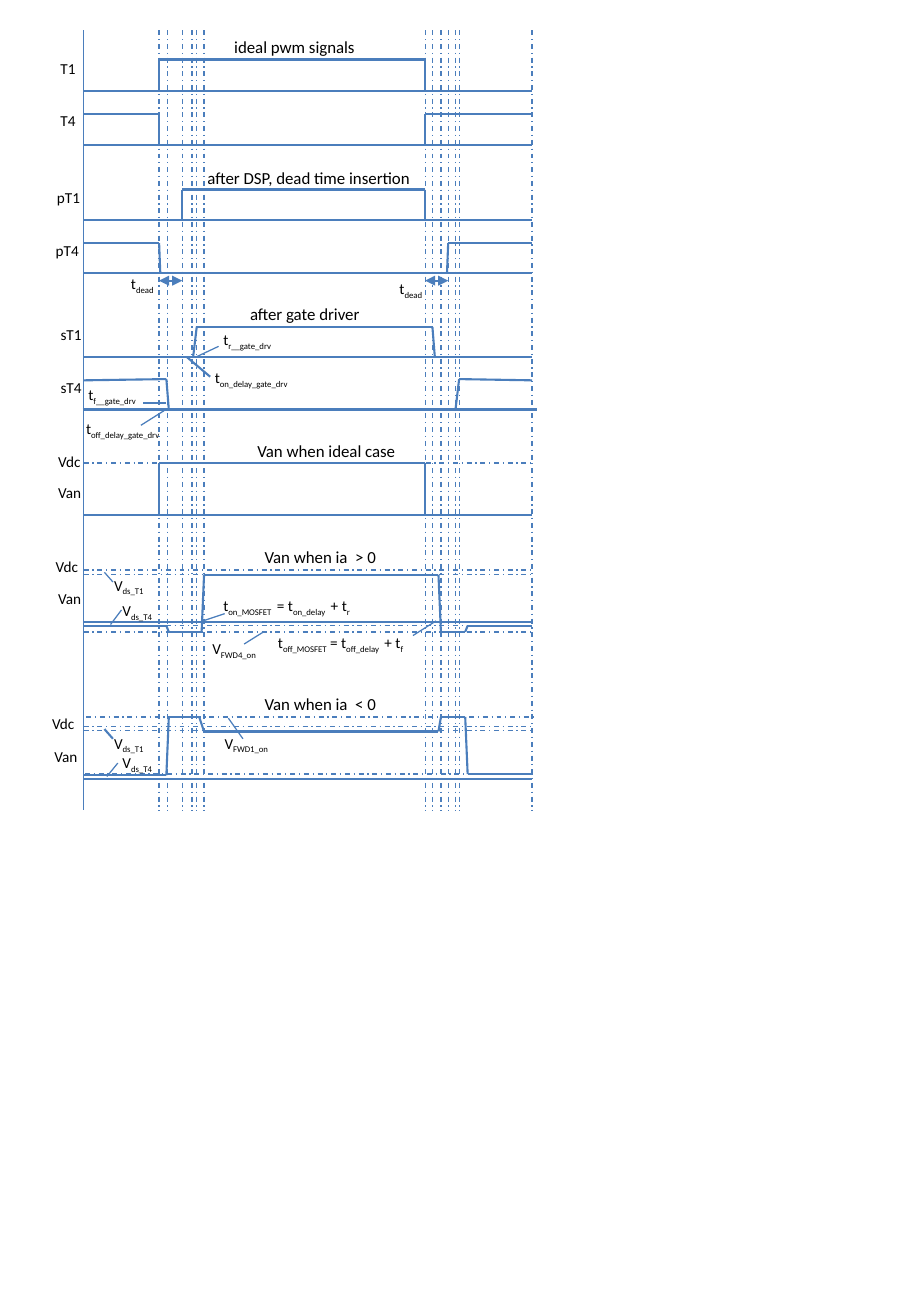
from dataclasses import dataclass
from itertools import pairwise

from lxml import etree
from pptx import Presentation
from pptx.dml.color import RGBColor
from pptx.enum.dml import MSO_LINE
from pptx.enum.shapes import MSO_CONNECTOR
from pptx.enum.text import MSO_AUTO_SIZE
from pptx.oxml.ns import qn
from pptx.util import Pt

STRAIGHT = MSO_CONNECTOR.STRAIGHT
DASH_DOT = MSO_LINE.DASH_DOT
FIT_SHAPE = MSO_AUTO_SIZE.SHAPE_TO_FIT_TEXT
PX = 9144  # EMU in one px, 100 px to the inch


@dataclass(frozen=True)
class Theme:
    ink: RGBColor = RGBColor(0x00, 0x00, 0x00)
    trace: RGBColor = RGBColor(0x4B, 0x7E, 0xBC)
    font: str = "Calibri"
    title: int = 10
    label: int = 9
    thin: float = 0.75
    thick: float = 1.25


THEME = Theme()

SLIDE = (750, 1083)
LEFT, RIGHT = 69, 438
TOP, BOTTOM = 25, 667

# Switching instants that cross every trace
INSTANTS = (131, 138, 150, 158, 162, 168, 350, 356, 363, 369, 375, 378, RIGHT)

# Zero level of each signal: left, right, y
BASELINES = (
    (LEFT, RIGHT, 75), (LEFT, RIGHT, 119),
    (LEFT, RIGHT, 181), (LEFT, RIGHT, 225),
    (LEFT, RIGHT, 294), (68, 442, 337),
    (LEFT, RIGHT, 424), (LEFT, RIGHT, 512), (LEFT, RIGHT, 641),
)

# Voltage levels: left, right, y
LEVELS = (
    (LEFT, RIGHT, 381),
    (LEFT, RIGHT, 469), (LEFT, RIGHT, 473), (LEFT, RIGHT, 515), (LEFT, RIGHT, 520),
    (71, 440, 590), (LEFT, RIGHT, 598), (LEFT, RIGHT, 601), (70, 439, 637),
)

# Corner points of each waveform
WAVEFORMS = (
    ((131, 75), (131, 49), (350, 49), (350, 75)),  # T1
    ((LEFT, 94), (131, 94), (131, 119)),  # T4
    ((350, 119), (350, 94), (RIGHT, 94)),
    ((150, 181), (150, 156), (350, 156), (350, 181)),  # pT1
    ((LEFT, 200), (131, 200), (132, 225)),  # pT4
    ((368, 225), (369, 200), (RIGHT, 200)),
    ((159, 294), (162, 269), (356, 269), (358, 294)),  # sT1
    ((LEFT, 313), (137, 312), (139, 337)),  # sT4
    ((375, 337), (378, 312), (RIGHT, 313)),
    ((131, 424), (131, 381), (350, 381), (350, 424)),  # Van, ideal
    ((LEFT, 515), (137, 515), (139, 520), (166, 520), (168, 473),  # Van, ia > 0
     (361, 473), (363, 520), (383, 520), (385, 515), (RIGHT, 515)),
    ((LEFT, 638), (137, 638), (139, 590), (164, 590), (168, 602),  # Van, ia < 0
     (361, 602), (363, 590), (383, 590), (385, 637), (RIGHT, 637)),
)

DEAD_TIMES = ((131, 150), (350, 369))
DEAD_TIME_Y = 231

# Leader lines from a label to its place on a trace
THIN_LEADERS = (
    ((161, 294), (180, 285)), ((135, 338), (116, 350)),
    ((164, 512), (185, 505)), ((340, 523), (359, 511)),
    ((86, 471), (93, 479)), ((91, 514), (100, 502)),
    ((201, 530), (217, 520)), ((88, 639), (97, 628)),
    ((188, 591), (200, 608)),
)
THICK_LEADERS = (
    ((154, 294), (173, 310)), ((118, 332), (137, 332)), ((86, 600), (93, 608)),
)

# Left, top, width, text, wrap
TITLES = (
    (183, 25, 120, "ideal pwm signals", False),
    (161, 133, 198, "after DSP, dead time insertion", True),
    (196, 245, 125, "after gate driver", True),
    (202, 358, 139, "Van when ideal case", False),
    (208, 445, 114, "Van when ia  > 0", False),
    (208, 566, 114, "Van when ia  < 0", False),
)

# Left, top, width, text with each subscript between bars
LABELS = (
    (40, 44, 33, "T1"), (40, 87, 33, "T4"),
    (37, 150, 39, "pT1"), (36, 194, 39, "pT4"),
    (40, 263, 38, "sT1"), (40, 306, 38, "sT4"),
    (38, 367, 39, "Vdc"), (38, 393, 40, "Van"),
    (36, 454, 39, "Vdc"), (38, 480, 40, "Van"),
    (33, 583, 39, "Vdc"), (35, 610, 40, "Van"),
    (98, 221, 41, "t|dead"), (319, 225, 41, "t|dead"),
    (174, 267, 66, "t|r__gate_drv"),
    (167, 298, 90, "t|on_delay_gate_drv"),
    (63, 312, 66, "t|f__gate_drv"),
    (61, 340, 91, "t|off_delay_gate_drv"),
    (174, 486, 136, "t|on_MOSFET | = t|on_delay | + t|r"),
    (219, 516, 136, "t|off_MOSFET| = t|off_delay | + t|f"),
    (84, 469, 48, "V|ds_T1"), (91, 490, 48, "V|ds_T4"),
    (165, 521, 61, "V|FWD4_on"),
    (84, 599, 48, "V|ds_T1"), (91, 615, 48, "V|ds_T4"),
    (175, 599, 61, "V|FWD1_on"),
)
TITLE_HEIGHT, LABEL_HEIGHT = 27, 25


def apply(target, values):
    for name, value in values.items():
        setattr(target, name, value)


def draw_line(slide, start, end, width, dash=None, arrows=False):
    line = slide.shapes.add_connector(STRAIGHT, *(v * PX for v in (*start, *end)))
    line.line.color.rgb = THEME.trace
    apply(line.line, {"width": Pt(width), "dash_style": dash})
    properties = line._element.spPr
    if arrows:
        outline = properties.find(qn("a:ln"))
        for tip in ("a:headEnd", "a:tailEnd"):
            etree.SubElement(outline, qn(tip), type="triangle")
    etree.SubElement(properties, qn("a:effectLst"))


def draw_text(slide, box, text, size, wrap=False):
    """Write text whose odd parts, split at bars, are subscripts."""
    frame = slide.shapes.add_textbox(*(v * PX for v in box)).text_frame
    apply(frame, {"word_wrap": wrap, "auto_size": FIT_SHAPE})
    for index, part in enumerate(text.split("|")):
        run = frame.paragraphs[0].add_run()
        run.text = part
        apply(run.font, {"name": THEME.font, "size": Pt(size)})
        run.font.color.rgb = THEME.ink
        if index % 2:
            run._r.get_or_add_rPr().set("baseline", "-25000")


def main():
    deck = Presentation()
    apply(deck, {"slide_width": SLIDE[0] * PX, "slide_height": SLIDE[1] * PX})
    slide = deck.slides.add_slide(deck.slide_layouts[6])

    draw_line(slide, (LEFT, TOP), (LEFT, BOTTOM), THEME.thin)
    for x in INSTANTS:
        draw_line(slide, (x, TOP), (x, BOTTOM), THEME.thin, DASH_DOT)
    for left, right, y in LEVELS:
        draw_line(slide, (left, y), (right, y), THEME.thin, DASH_DOT)
    for left, right, y in BASELINES:
        draw_line(slide, (left, y), (right, y), THEME.thick)
    for corners in WAVEFORMS:
        for start, end in pairwise(corners):
            draw_line(slide, start, end, THEME.thick)
    for left, right in DEAD_TIMES:
        draw_line(slide, (left, DEAD_TIME_Y), (right, DEAD_TIME_Y), THEME.thick, arrows=True)
    for leaders, width in ((THIN_LEADERS, THEME.thin), (THICK_LEADERS, THEME.thick)):
        for start, end in leaders:
            draw_line(slide, start, end, width)

    for left, top, width, text, wrap in TITLES:
        draw_text(slide, (left, top, width, TITLE_HEIGHT), text, THEME.title, wrap)
    for left, top, width, text in LABELS:
        draw_text(slide, (left, top, width, LABEL_HEIGHT), text, THEME.label)

    deck.save("out.pptx")


if __name__ == "__main__":
    main()
